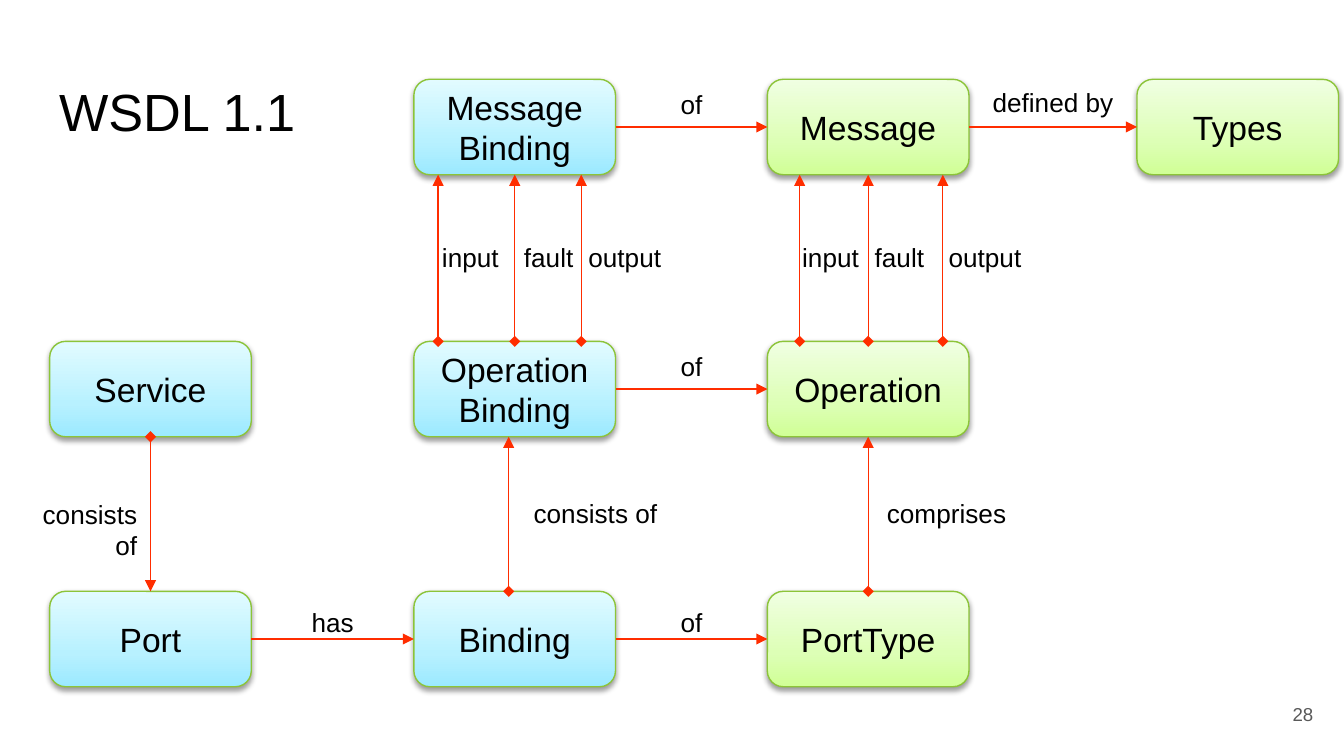
from dataclasses import dataclass

from lxml import etree
from pptx import Presentation
from pptx import util as u
from pptx.dml.color import RGBColor
from pptx.enum import shapes, text
from pptx.oxml import ns

BLACK = RGBColor(0x00, 0x00, 0x00)
GREY = RGBColor(0x59, 0x59, 0x59)
RED = RGBColor(0xFF, 0x2D, 0x00)
OUTLINE = RGBColor(0x8C, 0xC4, 0x39)
# Gradient colours at 0, 35 and 100 per cent, from bottom to top
BLUE = (RGBColor(0x9B, 0xE9, 0xFF), RGBColor(0xB8, 0xF1, 0xFF), RGBColor(0xE2, 0xFB, 0xFF))
GREEN = (RGBColor(0xD0, 0xFF, 0x96), RGBColor(0xDD, 0xFF, 0xB6), RGBColor(0xF0, 0xFF, 0xE2))
STOPS = (0, 35, 100)

LEFT, CENTER, RIGHT = text.PP_ALIGN.LEFT, text.PP_ALIGN.CENTER, text.PP_ALIGN.RIGHT
COLUMNS = (0.37, 3.08, 5.71, 8.46)
ROWS = (0.59, 2.54, 4.4)
NODE_W, NODE_H = 1.5, 0.71
LABEL_H = 0.34


@dataclass
class Box:
    left: float
    top: float
    width: float
    height: float

    @property
    def right(self):
        return self.left + self.width

    @property
    def bottom(self):
        return self.top + self.height

    @property
    def middle(self):
        return self.top + self.height / 2

    def across(self, share):
        return self.left + self.width * share

    def inches(self):
        return [u.Inches(n) for n in (self.left, self.top, self.width, self.height)]


def cell(column, row):
    return Box(COLUMNS[column], ROWS[row], NODE_W, NODE_H)


def add_xml(parent, tag, **attributes):
    return etree.SubElement(parent, ns.qn(tag), attributes)


def write(frame, words, size, align, color=BLACK, anchor=text.MSO_ANCHOR.TOP, pad=0.05):
    frame.word_wrap = True
    frame.auto_size = text.MSO_AUTO_SIZE.NONE
    frame.vertical_anchor = anchor
    frame.margin_left = frame.margin_right = u.Inches(0.1)
    frame.margin_top = frame.margin_bottom = u.Inches(pad)
    para = frame.paragraphs[0]
    para.text = words
    para.alignment = align
    para.font.name = "Arial"
    para.font.size = u.Pt(size)
    para.font.color.rgb = color


def label(page, box, words, align=CENTER):
    write(page.shapes.add_textbox(*box.inches()).text_frame, words, 14, align)


def node(page, box, words, colors):
    shape = page.shapes.add_shape(shapes.MSO_SHAPE.ROUNDED_RECTANGLE, *box.inches())
    shape.shadow.inherit = False
    shape.line.color.rgb = OUTLINE
    shape.line.width = u.Pt(0.75)
    shape.fill.gradient()
    shape.fill.gradient_angle = 90
    properties = shape.element.spPr
    stops = properties.find(".//" + ns.qn("a:gsLst"))
    for stop in list(stops):
        stops.remove(stop)
    for position, color in zip(STOPS, colors):
        stop = add_xml(stops, "a:gs", pos=str(position * 1000))
        add_xml(stop, "a:srgbClr", val=str(color))
    # Soft shadow below the node
    shadow = add_xml(properties.find(ns.qn("a:effectLst")), "a:outerShdw",
                     blurRad=str(u.Pt(3.1)), dist=str(u.Pt(1.6)),
                     dir="5400000", rotWithShape="0")
    add_xml(add_xml(shadow, "a:srgbClr", val="000000"), "a:alpha", val="38000")
    write(shape.text_frame, words, 18, CENTER, anchor=text.MSO_ANCHOR.MIDDLE)


def arrow(page, start, end, diamond=False):
    ends = [u.Inches(n) for n in (*start, *end)]
    line = page.shapes.add_connector(shapes.MSO_CONNECTOR.STRAIGHT, *ends)
    line.line.color.rgb = RED
    line.line.width = u.Pt(0.75)
    properties = line.element.spPr
    outline = properties.find(ns.qn("a:ln"))
    if diamond:
        add_xml(outline, "a:headEnd", type="diamond")
    add_xml(outline, "a:tailEnd", type="triangle")
    add_xml(properties, "a:effectLst")


def link_across(page, source, target, words, rise):
    """Arrow to the next column, its label starting `rise` above the line."""
    arrow(page, (source.right, source.middle), (target.left, target.middle))
    gap = Box(source.right, source.middle - rise, target.left - source.right, LABEL_H)
    label(page, gap, words)


def link_up(page, source, target, share=0.5):
    x = source.across(share)
    arrow(page, (x, source.top), (x, target.bottom), diamond=True)


def message_links(page, source, target, shares, offsets):
    """Input, fault and output arrows, with labels at offsets from the source."""
    names = ("input", "fault", "output")
    widths = (0.64, 0.64, 0.87)
    aligns = (RIGHT, LEFT, LEFT)
    for name, share, offset, width, align in zip(names, shares, offsets, widths, aligns):
        link_up(page, source, target, share)
        label(page, Box(source.left + offset, 1.75, width, LABEL_H), name, align)


def service_column(page, service, port):
    node(page, service, "Service", BLUE)
    node(page, port, "Port", BLUE)
    x = service.across(0.5)
    arrow(page, (x, service.bottom), (x, port.top), diamond=True)
    label(page, Box(x - 1.07, 3.66, 1.07, LABEL_H), "consists of", RIGHT)


def binding_column(page, message, operation, binding):
    node(page, message, "Message Binding", BLUE)
    node(page, operation, "Operation Binding", BLUE)
    node(page, binding, "Binding", BLUE)
    message_links(page, operation, message, (0.12, 0.5, 0.83), (0.09, 0.72, 1.2))
    link_up(page, binding, operation, 0.47)
    label(page, Box(binding.left + 0.73, 3.65, 1.18, LABEL_H), "consists of", RIGHT)


def interface_column(page, message, operation, port_type):
    node(page, message, "Message", GREEN)
    node(page, operation, "Operation", GREEN)
    node(page, port_type, "PortType", GREEN)
    message_links(page, operation, message, (0.16, 0.5, 0.87), (0.14, 0.7, 1.25))
    link_up(page, port_type, operation)
    label(page, Box(port_type.left + 0.79, 3.65, 1.18, LABEL_H), "comprises", LEFT)


def heading(page, box):
    title = page.shapes.title
    title.left, title.top, title.width, title.height = box.inches()
    write(title.text_frame, "WSDL 1.1", 28, LEFT, pad=0.1)


def page_number(page, box):
    frame = page.shapes.add_textbox(*box.inches()).text_frame
    write(frame, "28", 10, RIGHT, GREY, text.MSO_ANCHOR.MIDDLE, 0.1)


def main():
    deck = Presentation()
    deck.slide_width = u.Inches(10)
    deck.slide_height = deck.slide_width * 9 // 16
    page = deck.slides.add_slide(deck.slide_layouts[5])
    heading(page, Box(0.34, 0.49, 9.32, 0.63))
    page_number(page, Box(9.27, 5.1, 0.6, 0.43))

    # Columns of nodes with their vertical links
    service_column(page, cell(0, 1), cell(0, 2))
    binding_column(page, *(cell(1, row) for row in range(3)))
    interface_column(page, *(cell(2, row) for row in range(3)))
    node(page, cell(3, 0), "Types", GREEN)

    # Links between the columns
    for column, row, words, rise in ((0, 2, "has", 0.29), (1, 2, "of", 0.29),
                                     (1, 1, "of", 0.34), (1, 0, "of", 0.34),
                                     (2, 0, "defined by", 0.35)):
        link_across(page, cell(column, row), cell(column + 1, row), words, rise)

    deck.save("out.pptx")


if __name__ == "__main__":
    main()
